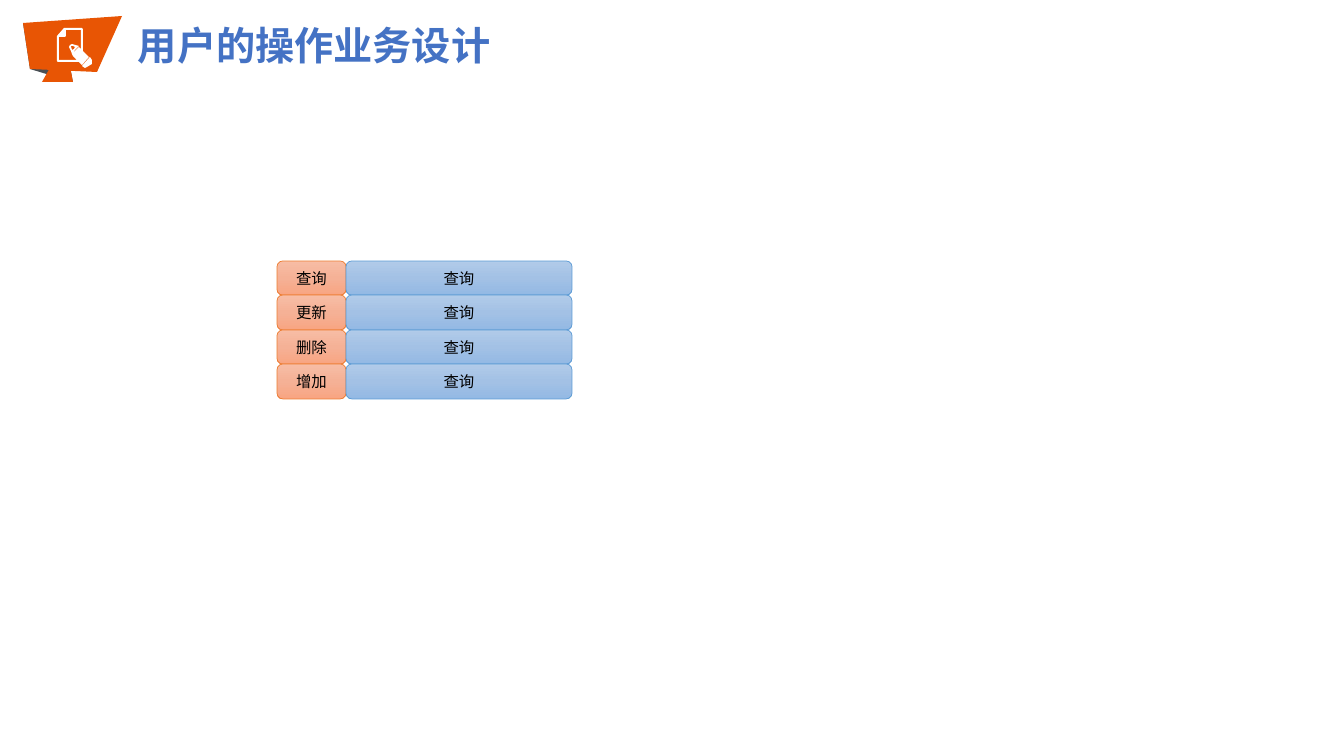
from copy import deepcopy
from dataclasses import dataclass

from lxml.etree import SubElement
from pptx import Presentation
from pptx.dml.color import RGBColor as Rgb
from pptx.enum.shapes import MSO_SHAPE as Kind
from pptx.enum.text import MSO_ANCHOR as Anchor, PP_ALIGN as Align
from pptx.oxml.ns import qn
from pptx.util import Pt

PX = 914400 / 100.8


@dataclass(frozen=True)
class Theme:
    font: str = "Noto Sans CJK SC"
    title: str = "4472C4"
    ink: str = "000000"
    white: str = "FFFFFF"
    orange: str = "E85504"
    shade: str = "494F54"
    peach: tuple = ("F7BDA5", "F5B196", "F8A582")
    peach_line: str = "ED7D31"
    sky: tuple = ("B1CBE9", "A3C1E5", "93B9E4")
    sky_line: str = "5B9BD5"
    big: int = 28
    small: int = 11
    edge: float = 0.5


class Board:
    def __init__(self, slide, theme):
        self.shapes = slide.shapes
        self.theme = theme

    def box(self, *sides):
        return [round(side * PX) for side in sides]

    def label(self, frame, text, size, color, bold=False):
        frame.word_wrap = True
        frame.text = text
        run = frame.paragraphs[0].runs[0]
        font = run.font
        font.size = Pt(size)
        font.bold = bold
        font.color.rgb = Rgb.from_string(color)
        font.name = self.theme.font
        SubElement(run.font._element, qn("a:ea"), typeface=self.theme.font)

    def title(self, text, *sides):
        shape = self.shapes.add_textbox(*self.box(*sides))
        self.label(shape.text_frame, text, self.theme.big, self.theme.title, True)

    def outline(self, color, *loops):
        first = loops[0]
        pen = self.shapes.build_freeform(*first[0], scale=PX)
        pen.add_line_segments(first[1:], close=True)
        for loop in loops[1:]:
            pen.move_to(*loop[0])
            pen.add_line_segments(loop[1:], close=True)
        shape = pen.convert_to_shape()
        shape.shadow.inherit = False
        shape.fill.solid()
        shape.fill.fore_color.rgb = Rgb.from_string(color)
        shape.line.fill.background()

    def cell(self, text, colors, edge, *sides):
        shape = self.shapes.add_shape(Kind.ROUNDED_RECTANGLE, *self.box(*sides))
        shape.shadow.inherit = False
        fill = shape.fill
        fill.gradient()
        start = shape.element.xpath(".//a:gs")[0]
        start.addnext(deepcopy(start))
        fill.gradient_angle = 270
        for stop, color, place in zip(fill.gradient_stops, colors, (0, 0.5, 1)):
            stop.color.rgb = Rgb.from_string(color)
            stop.position = place
        shape.line.color.rgb = Rgb.from_string(edge)
        shape.line.width = Pt(self.theme.edge)
        frame = shape.text_frame
        self.label(frame, text, self.theme.small, self.theme.ink)
        frame.vertical_anchor = Anchor.MIDDLE
        frame.paragraphs[0].alignment = Align.CENTER


def draw_badge(board):
    theme = board.theme
    board.outline(theme.shade, [(65, 41), (23, 23), (30, 69), (73, 82)])
    board.outline(theme.orange, [(73, 82), (65, 41), (42, 82)])
    board.outline(theme.orange, [(122, 16), (23, 23), (30, 69), (97, 72)])
    page = [(57, 36), (64, 28), (82, 28), (83, 29), (83, 51), (89, 57),
            (82, 65), (79, 62), (58, 62), (57, 61)]
    inside = [(81, 30), (66, 30), (66, 36), (65, 37), (59, 37), (59, 60),
              (77, 60), (73, 56), (72, 54), (78, 48), (79, 47), (81, 49)]
    tip = [(75, 50), (72, 54), (71, 51), (69, 47), (70, 45), (72, 44),
           (79, 46)]
    lead = [(73, 46), (71, 46), (72, 50), (74, 49), (75, 47)]
    end = [(92, 64), (87, 67), (85, 68), (82, 66), (90, 57), (92, 60)]
    board.outline(theme.white, page, inside, tip, lead, end)


def draw_rows(board):
    theme = board.theme
    names = ["查询", "更新", "删除", "增加"]
    left, mid, right = 277, 346, 572
    top, span = 261, 138
    lines = [top + span * i // len(names) for i in range(len(names) + 1)]
    for name, head, foot in zip(names, lines, lines[1:]):
        tall = foot - head
        board.cell(name, theme.peach, theme.peach_line,
                   left, head, mid - left, tall)
        board.cell("查询", theme.sky, theme.sky_line,
                   mid, head, right - mid, tall)


def main():
    deck = Presentation()
    deck.slide_width = round(1344 * PX)
    deck.slide_height = round(756 * PX)
    board = Board(deck.slides.add_slide(deck.slide_layouts[6]), Theme())
    draw_badge(board)
    board.title("用户的操作业务设计", 128, 16, 555, 57)
    draw_rows(board)
    deck.save("out.pptx")


if __name__ == "__main__":
    main()
